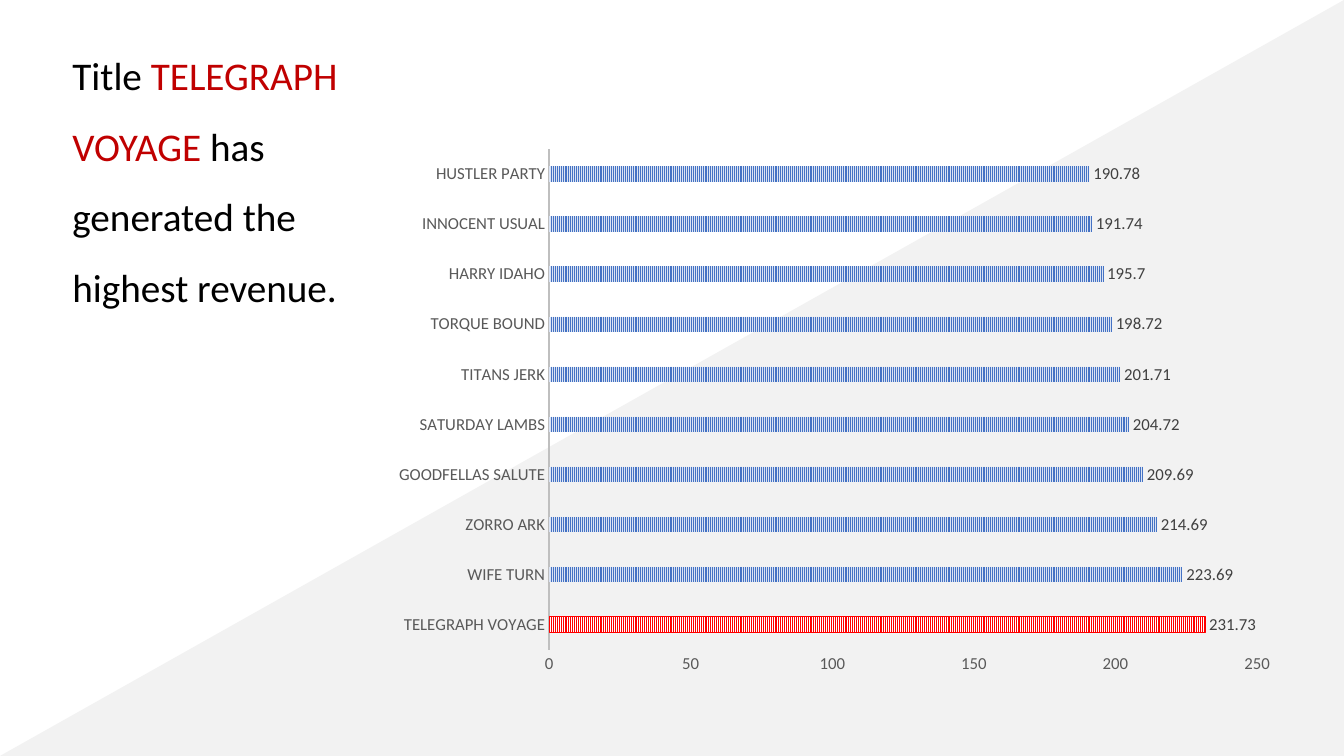
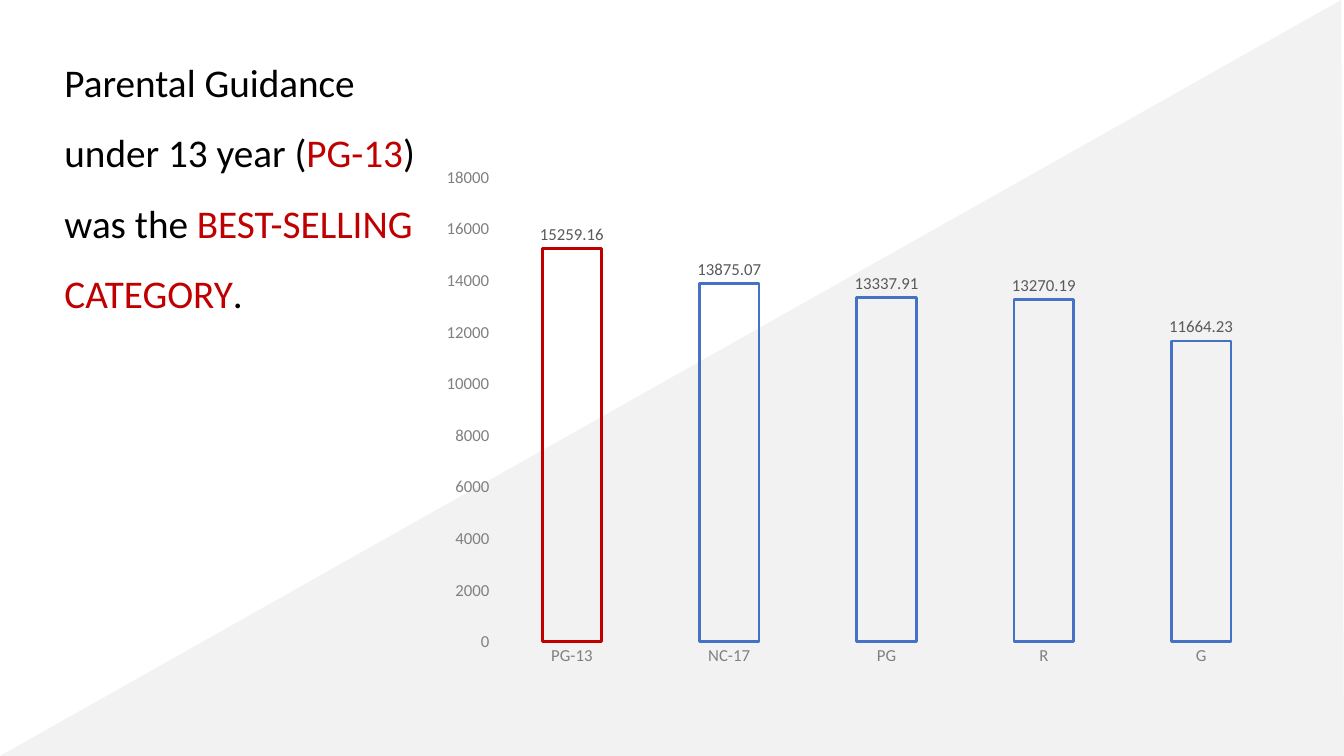
"""Build two slides that each pair a headline with a bar chart."""
import dataclasses

import pptx
import pptx.chart.data
import pptx.dml.color
import pptx.enum.chart
import pptx.enum.dml
import pptx.enum.shapes
import pptx.enum.text
import pptx.util

Cm = pptx.util.Cm
Pt = pptx.util.Pt
Kind = pptx.enum.chart.XL_CHART_TYPE


@dataclasses.dataclass(frozen=True)
class Theme:
    """Colours, font and type sizes for both slides."""
    font: str = "Calibri"
    head: int = 28
    label: int = 12
    ink: str = "000000"
    hot: str = "C00000"
    red: str = "FF0000"
    blue: str = "4472C4"
    pale: str = "DAE3F3"
    white: str = "FFFFFF"
    wedge: str = "F2F2F2"
    rule: str = "BFBFBF"


THEME = Theme()
WIDTH, HEIGHT = 33.87, 19.05

SLIDES = [
    {
        "tip": 1,
        "title": [[("Title ", False), ("TELEGRAPH VOYAGE ", True),
                   ("has generated the highest revenue.", False)]],
        "title_box": (1.57, 0.58, 8.66, 7.26),
        "chart_box": (9.6, 3.48, 22.86, 13.77),
        "kind": Kind.BAR_CLUSTERED,
        "bars": [("TELEGRAPH VOYAGE", 231.73), ("WIFE TURN", 223.69),
                 ("ZORRO ARK", 214.69), ("GOODFELLAS SALUTE", 209.69),
                 ("SATURDAY LAMBS", 204.72), ("TITANS JERK", 201.71),
                 ("TORQUE BOUND", 198.72), ("HARRY IDAHO", 195.7),
                 ("INNOCENT USUAL", 191.74), ("HUSTLER PARTY", 190.78)],
        "plot": {"gap_width": 227, "overlap": -48},
        "scale": {"maximum_scale": 250, "major_unit": 50},
        "axis_ink": "595959", "label_ink": "404040",
        "rule": True, "style": "stripe",
    },
    {
        "tip": 0.998,
        "title": [[("Parental Guidance", False)],
                  [("under 13 year (", False), ("PG-13", True),
                   (") was the ", False), ("BEST-SELLING CATEGORY", True),
                   (".", False)]],
        "title_box": (1.37, 0.74, 9.45, 7.26),
        "chart_box": (10.82, 3.96, 21.87, 13.08),
        "kind": Kind.COLUMN_CLUSTERED,
        "bars": [("PG-13", 15259.16), ("NC-17", 13875.07),
                 ("PG", 13337.91), ("R", 13270.19), ("G", 11664.23)],
        "plot": {"gap_width": 164, "overlap": -35},
        "scale": {"maximum_scale": 18000, "major_unit": 2000},
        "axis_ink": "808080", "label_ink": "595959",
        "rule": False, "style": "outline",
    },
]


def put(item, values):
    """Set each named format value on an item."""
    for name, value in values.items():
        setattr(item, name, value)


def rgb(code):
    """Turn a hex code into a colour."""
    return pptx.dml.color.RGBColor.from_string(code)


def set_font(font, size, ink):
    """Apply the theme font in a size and colour."""
    put(font, {"name": THEME.font, "size": Pt(size), "bold": False})
    font.color.rgb = rgb(ink)


def set_line(line, ink, width):
    """Colour a line and set its weight."""
    line.color.rgb = rgb(ink)
    line.width = Pt(width)


def add_wedge(slide, tip):
    """Draw the grey triangle that backs a slide."""
    wedge = slide.shapes.add_shape(
        pptx.enum.shapes.MSO_SHAPE.ISOSCELES_TRIANGLE,
        0, 0, Cm(WIDTH), Cm(HEIGHT))
    wedge.adjustments[0] = tip
    wedge.shadow.inherit = False
    wedge.fill.solid()
    wedge.fill.fore_color.rgb = rgb(THEME.wedge)
    wedge.line.fill.background()


def add_title(slide, paras, box):
    """Place the headline in front and colour its key words."""
    title = slide.shapes.title
    slide.shapes._spTree.append(title._element)
    put(title, dict(zip(("left", "top", "width", "height"), map(Cm, box))))
    frame = title.text_frame
    put(frame, {"word_wrap": True,
                "auto_size": pptx.enum.text.MSO_AUTO_SIZE.NONE,
                "vertical_anchor": pptx.enum.text.MSO_ANCHOR.TOP})
    for index, runs in enumerate(paras):
        para = frame.add_paragraph() if index else frame.paragraphs[0]
        put(para, {"alignment": pptx.enum.text.PP_ALIGN.LEFT,
                   "line_spacing": 1.5})
        for text, hot in runs:
            run = para.add_run()
            run.text = text
            set_font(run.font, THEME.head, THEME.hot if hot else THEME.ink)


def stripe(item, fore, back):
    """Fill bars with narrow upright stripes."""
    fill = item.format.fill
    fill.patterned()
    fill.pattern = pptx.enum.dml.MSO_PATTERN.NARROW_VERTICAL
    fill.fore_color.rgb = rgb(fore)
    fill.back_color.rgb = rgb(back)


def paint(series, style):
    """Style all bars and make the first one stand out."""
    first = series.points[0]
    if style == "stripe":
        stripe(series, THEME.blue, THEME.pale)
        stripe(first, THEME.red, THEME.white)
        set_line(first.format.line, THEME.red, 0.75)
        return
    for item, ink in ((series, THEME.blue), (first, THEME.hot)):
        item.format.fill.background()
        set_line(item.format.line, ink, 2)


def add_chart(slide, data):
    """Add the bar chart with its axes and labels."""
    source = pptx.chart.data.CategoryChartData()
    names, values = zip(*data["bars"])
    source.categories = names
    source.add_series("Series 1", values)
    chart = slide.shapes.add_chart(
        data["kind"], *map(Cm, data["chart_box"]), source).chart
    put(chart, {"has_legend": False, "has_title": False})
    set_font(chart.font, 10, THEME.ink)

    none = pptx.enum.chart.XL_TICK_MARK.NONE
    for axis in (chart.category_axis, chart.value_axis):
        put(axis, {"major_tick_mark": none, "minor_tick_mark": none,
                   "has_major_gridlines": False})
        set_font(axis.tick_labels.font, THEME.label, data["axis_ink"])
        axis.format.line.fill.background()
    if data["rule"]:
        set_line(chart.category_axis.format.line, THEME.rule, 1.5)
    put(chart.value_axis, {"minimum_scale": 0, **data["scale"]})

    plot = chart.plots[0]
    put(plot, {"vary_by_categories": False, **data["plot"]})
    series = plot.series[0]
    series.invert_if_negative = False
    paint(series, data["style"])
    labels = series.data_labels
    put(labels, {"show_value": True,
                 "position": pptx.enum.chart.XL_LABEL_POSITION.OUTSIDE_END})
    set_font(labels.font, THEME.label, data["label_ink"])


def main():
    """Build and save the deck."""
    deck = pptx.Presentation()
    put(deck, {"slide_width": Cm(WIDTH), "slide_height": Cm(HEIGHT)})
    for data in SLIDES:
        slide = deck.slides.add_slide(deck.slide_layouts[5])
        add_wedge(slide, data["tip"])
        add_chart(slide, data)
        add_title(slide, data["title"], data["title_box"])
    deck.save("out.pptx")


if __name__ == "__main__":
    main()
